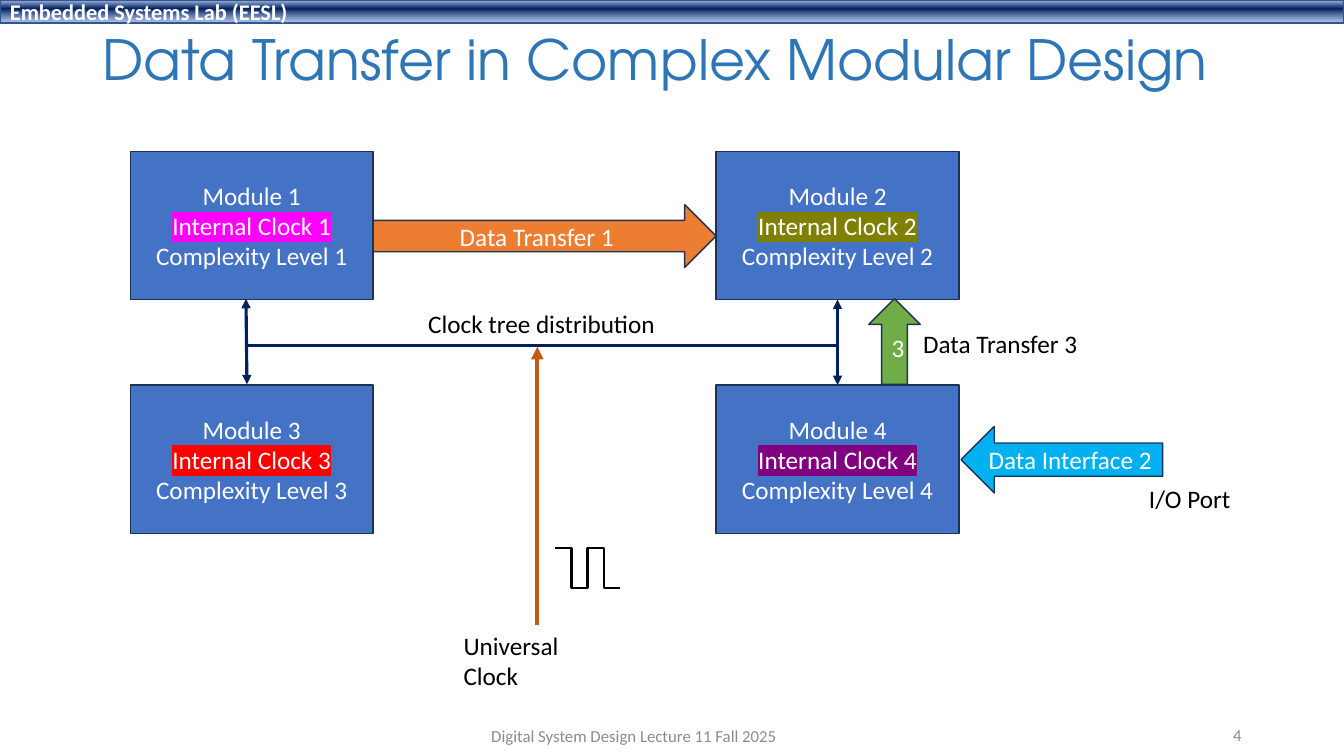
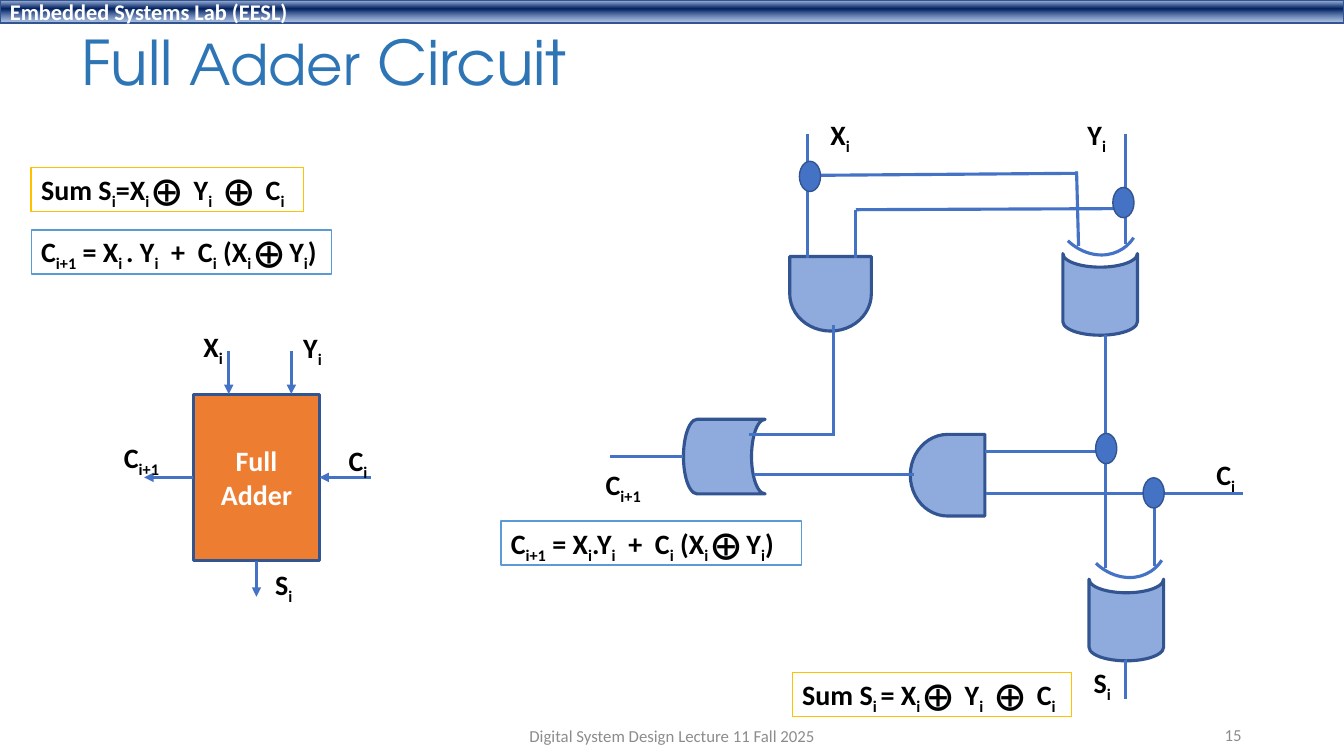
from lxml.etree import SubElement
from pptx import Presentation
from pptx.dml.color import RGBColor
from pptx.enum.shapes import MSO_CONNECTOR as CONNECTOR, MSO_SHAPE as SHAPE
from pptx.enum.text import MSO_ANCHOR as ANCHOR, MSO_AUTO_SIZE as AUTO_SIZE, PP_ALIGN as ALIGN
from pptx.oxml.ns import qn
from pptx.util import Pt

COLORS = {
    "white": "FFFFFF", "black": "000000", "title": "2E75B6", "footer": "8C8C8C",
    "navy": "002060", "band light": "ABC0E4", "band end": "7E9ED6", "edge": "325491",
    "blue": "4472C4", "module edge": "1E3256", "gate": "8FAADC", "orange": "ED7D31",
    "cyan": "00B0F0", "green": "70AD47", "rust": "C55A11", "gold": "FFC000", "sky": "5B9BD5",
    "magenta": "FF00FF", "olive": "808000", "red": "FF0000", "purple": "800080",
}
BODY_FONT = "Calibri"
TITLE_FONT = "TeX Gyre Adventor"


def add_box(slide, kind, box, text="", fill=None, line=None, weight=1, size=18, color="black",
            bold=False, font=BODY_FONT, align=ALIGN.LEFT, anchor=ANCHOR.MIDDLE, grow=False,
            highlight=None, accent_size=None, spacing=None):
    lengths = [Pt(value) for value in box]
    if kind is None:
        shape = slide.shapes.add_textbox(*lengths)
    else:
        shape = slide.shapes.add_shape(kind, *lengths)
        shape.shadow.inherit = False
        if fill:
            shape.fill.solid()
            shape.fill.fore_color.rgb = RGBColor.from_string(COLORS[fill])
        else:
            shape.fill.background()
        shape.line.color.rgb = RGBColor.from_string(COLORS[line])
        shape.line.width = Pt(weight)
    if not text:
        return shape
    frame = shape.text_frame
    frame.word_wrap = not grow
    frame.auto_size = AUTO_SIZE.SHAPE_TO_FIT_TEXT if grow else AUTO_SIZE.NONE
    frame.vertical_anchor = ANCHOR.TOP if grow else anchor
    for number, row in enumerate(text.split("\n")):
        paragraph = frame.add_paragraph() if number else frame.paragraphs[0]
        paragraph.alignment = align
        paragraph.line_spacing = spacing
        for index, piece in enumerate(row.split("|")):
            if not piece:
                continue
            accent = index % 2 == 1
            run = paragraph.add_run()
            run.text = piece
            run.font.size = Pt(accent_size if accent and accent_size else size)
            run.font.bold = bold
            run.font.color.rgb = RGBColor.from_string(COLORS[color])
            properties = run._r.get_or_add_rPr()
            if accent and highlight:
                marker = SubElement(properties, qn("a:highlight"))
                SubElement(marker, qn("a:srgbClr"), val=COLORS[highlight])
            elif accent and not accent_size:
                properties.set("baseline", "-25000")
            run.font.name = font
    return shape


def add_line(slide, points, color="blue", weight=2.25, head=False, tail=False,
             kind=CONNECTOR.STRAIGHT):
    connector = slide.shapes.add_connector(kind, *[Pt(value) for value in points])
    connector.line.color.rgb = RGBColor.from_string(COLORS[color])
    connector.line.width = Pt(weight)
    properties = connector._element.spPr
    outline = properties.find(qn("a:ln"))
    for wanted, tag in ((head, "a:headEnd"), (tail, "a:tailEnd")):
        if wanted:
            SubElement(outline, qn(tag), type="triangle")
    SubElement(properties, qn("a:effectLst"))
    return connector


presentation = Presentation()
presentation.slide_width = Pt(960)
presentation.slide_height = Pt(540)

slides = []
for title, title_box, title_size, page, footer_left in (
    ("Data Transfer in Complex Modular Design", (66, 17.3, 828, 55.4), 39.6, "4", 290.9),
    ("Full |Adder| Circuit", (51.1, 17.3, 828, 58.3), 44, "15", 318.2),
):
    slide = presentation.slides.add_slide(presentation.slide_layouts[6])
    slides.append(slide)
    band = add_box(slide, SHAPE.RECTANGLE, (0, 0, 960, 16.5), "Embedded Systems Lab (EESL)",
                   "navy", "edge", size=16, color="white", bold=True)
    band.fill.gradient()
    band.fill.gradient_angle = 270
    stops = band._element.spPr.find(qn("a:gradFill")).find(qn("a:gsLst"))
    stops.clear()
    for position, color, opacity in ((2, "band light", 100), (38, "navy", 100), (93, "band end", 64)):
        stop = SubElement(stops, qn("a:gs"), pos=str(position * 1000))
        tint = SubElement(stop, qn("a:srgbClr"), val=COLORS[color])
        if opacity < 100:
            SubElement(tint, qn("a:alpha"), val=str(opacity * 1000))
    add_box(slide, None, title_box, title, size=title_size, accent_size=40, color="title",
            font=TITLE_FONT, spacing=0.9)
    add_box(slide, None, (footer_left, 511.5, 324, 28.8),
            "Digital System Design Lecture 11 Fall 2025", size=12, color="footer", align=ALIGN.CENTER)
    add_box(slide, None, (678, 510.5, 216, 28.8), page, size=12, color="footer", align=ALIGN.RIGHT)

transfer_slide, adder_slide = slides

modules = []
for index, clock_color in enumerate(("magenta", "olive", "red", "purple")):
    row, column = divmod(index, 2)
    number = index + 1
    modules.append(add_box(
        transfer_slide, SHAPE.RECTANGLE, (93 + 418.5 * column, 108 + 167 * row, 173.5, 106),
        f"Module {number}\n|Internal Clock {number}|\nComplexity Level {number}",
        "blue", "module edge", color="white", align=ALIGN.CENTER, highlight=clock_color))

add_line(transfer_slide, (383.8, 446.4, 383.8, 247.7), "rust", 3, tail=True)
add_line(transfer_slide, (177, 247, 598.3, 247), "navy")
add_line(transfer_slide, (176.4, 274.5, 175.7, 213.5), "navy", head=True, tail=True)
clock_branch = add_line(transfer_slide, (598.3, 275, 598.3, 214), "navy", head=True, tail=True)
clock_branch.begin_connect(modules[3], 0)
clock_branch.end_connect(modules[1], 2)

pulse_top, pulse_bottom, pulse_step = 391.7, 420, 11.5
for index in range(3):
    left = 396.7 + pulse_step * index
    start, end = (pulse_bottom, pulse_top) if index == 1 else (pulse_top, pulse_bottom)
    add_line(transfer_slide, (left, start, left + 2 * pulse_step, end), "black", 1.5,
             kind=CONNECTOR.ELBOW)

for kind, box, text, fill in (
    (SHAPE.RIGHT_ARROW, (266.5, 146.2, 245, 44.9), "Data Transfer 1", "orange"),
    (SHAPE.LEFT_ARROW, (686.5, 304.6, 144, 47.5), "Data Interface 2", "cyan"),
    (SHAPE.UP_ARROW, (620.6, 213.3, 36.7, 61.2), "3", "green"),
):
    add_box(transfer_slide, kind, box, text, fill, "module edge", color="white", align=ALIGN.CENTER)

for box, text in (
    ((324, 446.4, 82.8, 51.1), "Universal\nClock"),
    ((652.3, 231.1, 126, 28.8), "Data Transfer 3"),
    ((813.6, 342, 73.4, 28.8), "I/O Port"),
    ((298.8, 216.7, 178.6, 28.8), "Clock tree distribution"),
):
    add_box(transfer_slide, None, box, text, grow=True)

for kind, left, top, width, height, rotation in (
    (SHAPE.FLOWCHART_DELAY, 566.6, 180.7, 53.3, 58.3, 90),
    (SHAPE.FLOWCHART_DELAY, 650.2, 310.3, 53.3, 58.3, 180),
    (SHAPE.FLOWCHART_STORED_DATA, 756.7, 183.6, 58.3, 53.3, 270),
    (SHAPE.FLOWCHART_STORED_DATA, 775.4, 416.2, 58.3, 53.3, 270),
    (SHAPE.FLOWCHART_STORED_DATA, 488.2, 299.5, 58.3, 53.3, 0),
):
    gate = add_box(adder_slide, kind, (left, top, width, height), fill="gate", line="edge", weight=2.25)
    gate.rotation = rotation

for left, top in ((751.7, 112.3), (771.8, 342.7)):
    arc = add_box(adder_slide, SHAPE.ARC, (left, top, 61.2, 71.3), line="blue", weight=2.25)
    arc.adjustments[0] = 151.27
    arc.adjustments[1] = 205.69
    arc.rotation = 146.4

for wire in (
    (576.7, 184.3, 576.7, 95.8), (611.3, 184.3, 611.3, 149.8), (770.4, 175.7, 769, 122.4),
    (804.2, 174.2, 804.2, 95.8), (789.8, 406, 789.8, 239), (824.4, 404.6, 824.4, 352.8),
    (703.4, 322.6, 789.8, 322.6), (704.2, 352.8, 887.8, 352.8), (538.6, 339.1, 653, 339.1),
    (535, 310.3, 596.2, 310.3), (595.4, 310.3, 595.4, 231.8), (611.3, 149.8, 804.2, 149),
    (576, 125.3, 769.7, 123.8), (488.2, 326.2, 435.6, 326.2), (804.2, 471.6, 804.2, 499),
):
    add_line(adder_slide, wire)

for left, top in ((782.6, 309.6), (571, 115.2), (794.9, 133.9), (816.5, 341.3)):
    add_box(adder_slide, SHAPE.OVAL, (left, top, 15.1, 21.6), fill="blue", line="edge")

adder = add_box(adder_slide, SHAPE.RECTANGLE, (138.2, 281.5, 90, 119), "Full\nAdder", "orange", "edge",
                2.25, size=20, color="white", bold=True, align=ALIGN.CENTER)
for left in (163.4, 208.1):
    add_line(adder_slide, (left, 250.6, left, 281.5), tail=True)
for end, side, inward in (((265, 341), 3, True), ((183.2, 426.2), 2, False), ((103, 341), 1, False)):
    port = add_line(adder_slide, (*end, *end), head=not inward, tail=inward)
    if inward:
        port.end_connect(adder, side)
    else:
        port.end_connect(adder, side)

for left, top, width, text in (
    (425.5, 330.5, 41.8, "C|i+1"), (586.1, 80.6, 28.8, "X|i"), (769.7, 80.6, 28.1, "Y|i"),
    (861.8, 323.3, 28.8, "C|i"), (774, 471.6, 27.4, "S|i"), (138.2, 231.8, 28.8, "X|i"),
    (209.5, 232.6, 28.1, "Y|i"), (241.9, 313.2, 28.8, "C|i"), (189.4, 401.8, 27.4, "S|i"),
    (81.4, 311, 41.8, "C|i+1"),
):
    add_box(adder_slide, None, (left, top, width, 31.5), text, size=20, bold=True, grow=True)

for left, top, width, text, edge in (
    (22.3, 119.5, 194.4, "Sum S|i|=X|i |⨁  Y|i|  ⨁  C|i", "gold"),
    (22.3, 164.2, 214.6, "C|i+1| = X|i |. Y|i|  +  C|i| (X|i |⨁ Y|i|)", "sky"),
    (565.9, 480.2, 199.4, "Sum S|i |= X|i |⨁  Y|i|  ⨁  C|i", "gold"),
    (357.8, 372.2, 214.6, "C|i+1| = X|i|.Y|i|  +  C|i| (X|i |⨁ Y|i|)", "sky"),
):
    add_box(adder_slide, SHAPE.RECTANGLE, (left, top, width, 31.5), text, "white", edge,
            size=20, bold=True, grow=True)

presentation.save("out.pptx")
